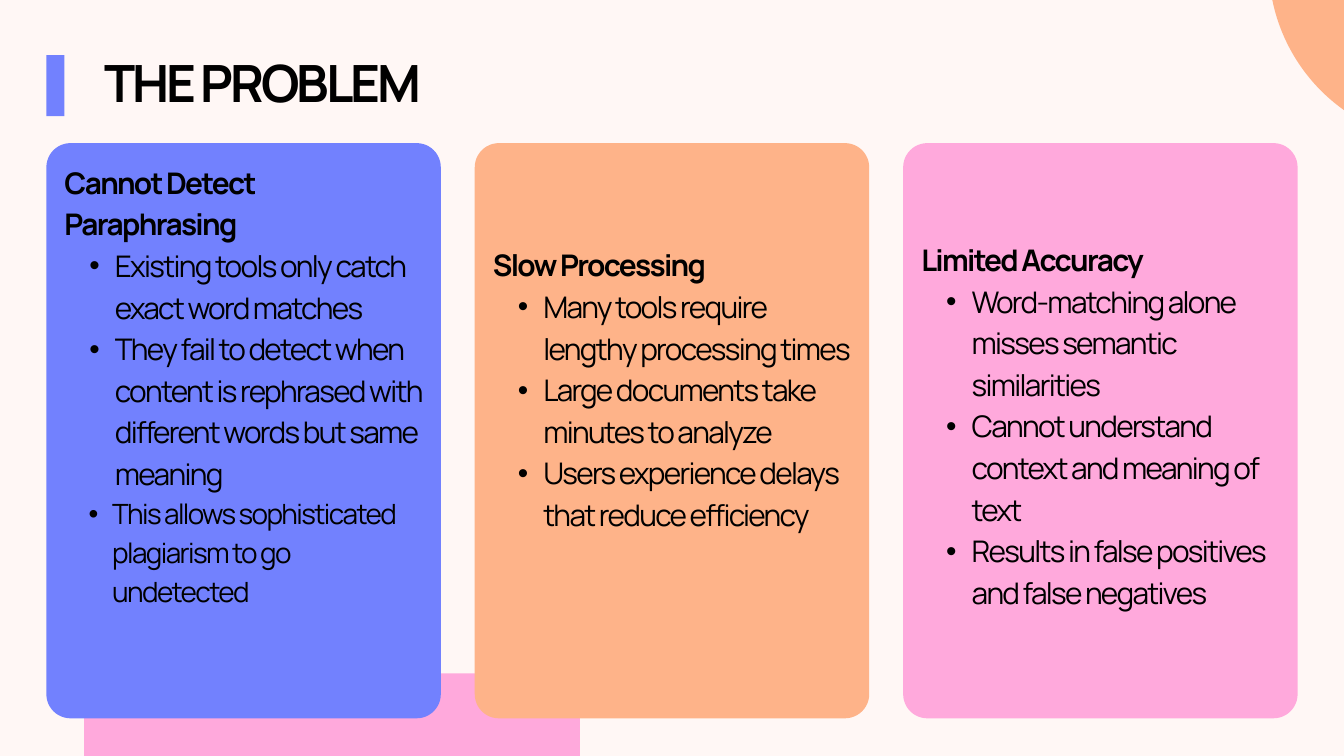
from dataclasses import dataclass

from lxml.etree import SubElement
from pptx import Presentation
from pptx.dml.color import RGBColor
from pptx.enum.shapes import MSO_SHAPE as Shape
from pptx.enum.text import MSO_ANCHOR, MSO_AUTO_SIZE, PP_ALIGN
from pptx.oxml.ns import qn
from pptx.util import Inches, Pt


@dataclass(frozen=True)
class Theme:
    font: str = "Manrope"
    paper: str = "FFF7F5"
    ink: str = "000000"
    blue: str = "7281FE"
    orange: str = "FEB389"
    pink: str = "FFA9DC"


@dataclass(frozen=True)
class TextStyle:
    size: float
    leading: float
    tracking: float
    bold: bool = False
    indent: float = 0
    hanging: float = 0


THEME = Theme()
TITLE = TextStyle(55, 57.2, -3.2, bold=True)
HEADING = TextStyle(31.9, 44.6, -1.8, bold=True)
BULLET = TextStyle(31.9, 44.6, -1.8, indent=0.75, hanging=0.38)
SMALL_BULLET = TextStyle(29.9, 41.8, -1.7, indent=0.71, hanging=0.35)

# Card colour, top and height of its text, then its paragraphs
CARDS = [
    (THEME.blue, 2.36, 7.87, [
        ("Cannot Detect Paraphrasing", HEADING),
        ("Existing tools only catch exact word matches", BULLET),
        ("They fail to detect when content is rephrased with different "
         "words but same meaning", BULLET),
        ("This allows sophisticated plagiarism to go undetected", SMALL_BULLET),
    ]),
    (THEME.orange, 3.59, 5.54, [
        ("Slow Processing", HEADING),
        ("Many tools require lengthy processing times", BULLET),
        ("Large documents take minutes to analyze", BULLET),
        ("Users experience delays that reduce efficiency", BULLET),
    ]),
    (THEME.pink, 3.51, 6.15, [
        ("Limited Accuracy", HEADING),
        ("Word-matching alone misses semantic similarities", BULLET),
        ("Cannot understand context and meaning of text", BULLET),
        ("Results in false positives and false negatives", BULLET),
    ]),
]

WIDTH, HEIGHT = 20, 11.25
MARGIN = 0.69
CARD_TOP, CARD_WIDTH, CARD_HEIGHT = 2.13, 5.87, 8.56
CARD_STEP = (WIDTH - 2 * MARGIN - CARD_WIDTH) / (len(CARDS) - 1)
TEXT_WIDTH = 5.33
TEXT_INSET = (CARD_WIDTH - TEXT_WIDTH) / 2


def add_block(slide, kind, area, color, radius=None):
    block = slide.shapes.add_shape(kind, *map(Inches, area))
    block.shadow.inherit = False
    block.fill.solid()
    block.fill.fore_color.rgb = RGBColor.from_string(color)
    block.line.fill.background()
    if radius is not None:
        block.adjustments[0] = radius / min(area[2:])


def write(box, paragraphs):
    """Fill a box, without insets, with (text, style) paragraphs."""
    frame = box.text_frame
    frame.word_wrap = True
    frame.auto_size = MSO_AUTO_SIZE.NONE
    frame.vertical_anchor = MSO_ANCHOR.TOP
    frame.margin_left = frame.margin_right = 0
    frame.margin_top = frame.margin_bottom = 0
    for index, (text, style) in enumerate(paragraphs):
        para = frame.add_paragraph() if index else frame.paragraphs[0]
        para.alignment = PP_ALIGN.LEFT
        para.line_spacing = Pt(style.leading)
        para.space_before = Pt(0)
        if style.hanging:
            para.level = 1
            props = para._p.get_or_add_pPr()
            props.set("marL", str(Inches(style.indent)))
            props.set("indent", str(-Inches(style.hanging)))
            SubElement(props, qn("a:buFont"), typeface="Arial")
            SubElement(props, qn("a:buChar"), char="•")
        span = para.add_run()
        span.text = text
        span.font.name = THEME.font
        span.font.size = Pt(style.size)
        span.font.bold = style.bold
        span.font.color.rgb = RGBColor.from_string(THEME.ink)
        span._r.get_or_add_rPr().set("spc", str(round(style.tracking * 100)))


def place(box, left, top, width, height):
    box.left, box.top = Inches(left), Inches(top)
    box.width, box.height = Inches(width), Inches(height)


def main():
    deck = Presentation()
    deck.slide_width, deck.slide_height = Inches(WIDTH), Inches(HEIGHT)
    slide = deck.slides.add_slide(deck.slide_layouts[5])
    slide.background.fill.solid()
    slide.background.fill.fore_color.rgb = RGBColor.from_string(THEME.paper)

    add_block(slide, Shape.OVAL, (18.88, -3.19, 5.32, 5.32), THEME.orange)
    add_block(slide, Shape.ROUNDED_RECTANGLE, (1.25, 10.02, 7.38, 3.38),
              THEME.pink, radius=0.48)
    add_block(slide, Shape.RECTANGLE, (MARGIN, 0.82, 0.27, 0.91), THEME.blue)

    title = slide.shapes.title
    place(title, 1.55, 0.88, 17.76, 0.89)
    write(title, [("THE PROBLEM", TITLE)])

    for column, (color, top, height, paragraphs) in enumerate(CARDS):
        left = MARGIN + column * CARD_STEP
        add_block(slide, Shape.ROUNDED_RECTANGLE,
                  (left, CARD_TOP, CARD_WIDTH, CARD_HEIGHT), color, radius=0.36)
        area = (left + TEXT_INSET, top, TEXT_WIDTH, height)
        write(slide.shapes.add_textbox(*map(Inches, area)), paragraphs)

    deck.save("out.pptx")


if __name__ == "__main__":
    main()
